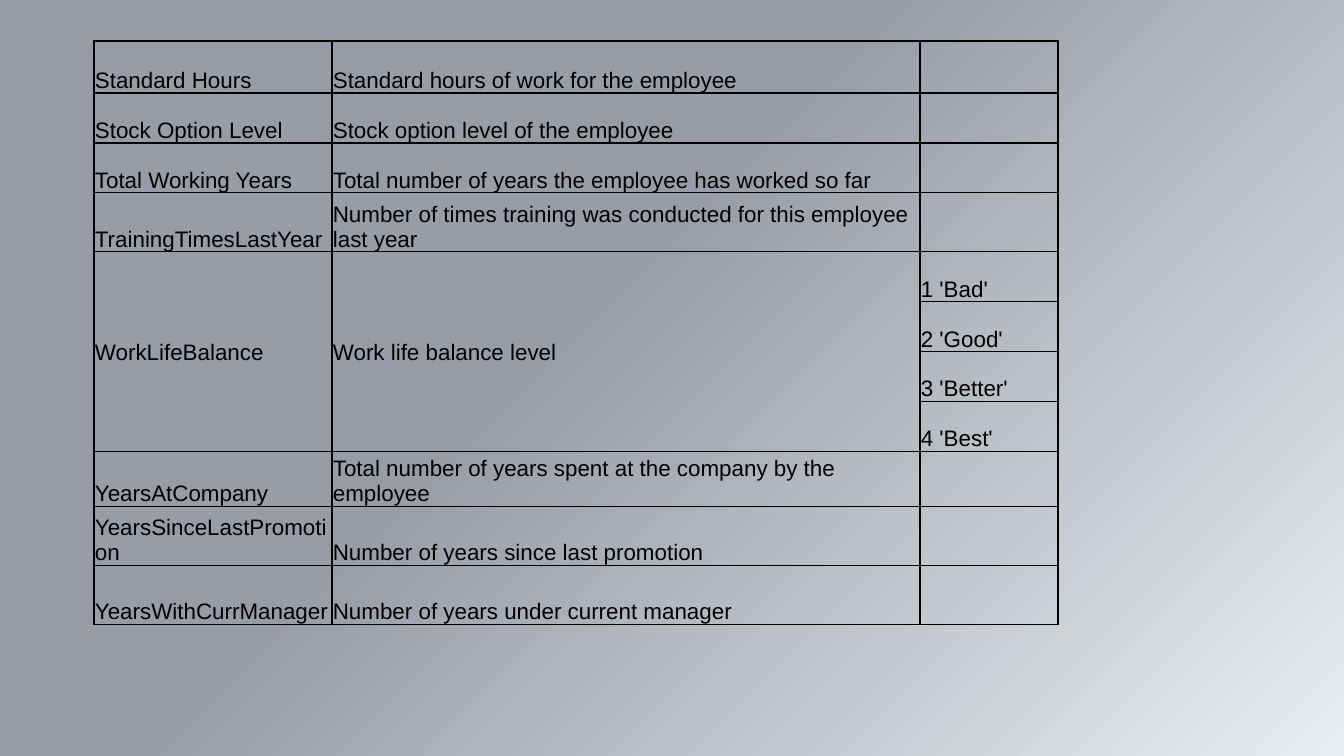
from lxml import etree
from pptx import Presentation
from pptx.dml.color import RGBColor
from pptx.enum.text import MSO_ANCHOR
from pptx.oxml import parse_xml
from pptx.oxml.ns import nsdecls, qn
from pptx.util import Pt

BOTTOM, MIDDLE = MSO_ANCHOR.BOTTOM, MSO_ANCHOR.MIDDLE
BLANK_LAYOUT = 6

COLUMNS = [238, 588, 138]
ROW_HEIGHTS = [52, 50, 50, 59, 50, 50, 50, 50, 55, 59, 59]
BALANCE_ROW, BALANCE_SPAN = 4, 4
FIELDS = [
    ("Standard Hours", "Standard hours of work for the employee", ""),
    ("Stock Option Level", "Stock option level of the employee", ""),
    ("Total Working Years", "Total number of years the employee has worked so far", ""),
    ("TrainingTimesLastYear",
     "Number of times training was conducted for this employee last year", ""),
    ("WorkLifeBalance", "Work life balance level", "1 'Bad'"),
    ("", "", "2 'Good'"),
    ("", "", "3 'Better'"),
    ("", "", "4 'Best'"),
    ("YearsAtCompany", "Total number of years spent at the company by the employee", ""),
    ("YearsSinceLastPromotion", "Number of years since last promotion", ""),
    ("YearsWithCurrManager", "Number of years under current manager", ""),
]


def px(n):
    """Pixels at 134.4 to the inch, as EMU."""
    return round(n * 914400 / 134.4)


def rgb(hex_string):
    return RGBColor.from_string(hex_string)


class Deck:
    font, size, ink = "Arial", 12, "000000"
    border = 0.75

    def __init__(self, prs):
        self.s = prs.slides.add_slide(prs.slide_layouts[BLANK_LAYOUT])

    def corner_gradient(self, stops):
        """Fill the background with a gradient centred on the lower right corner."""
        gs = "".join(f'<a:gs pos="{pos * 1000}"><a:srgbClr val="{color}"/></a:gs>'
                     for pos, color in stops)
        bg = parse_xml(
            f'<p:bg {nsdecls("p", "a")}><p:bgPr><a:gradFill rotWithShape="1">'
            f'<a:gsLst>{gs}</a:gsLst><a:path path="circle">'
            '<a:fillToRect l="100000" t="100000"/></a:path>'
            '</a:gradFill><a:effectLst/></p:bgPr></p:bg>')
        self.s.element.cSld.insert(0, bg)

    def borders(self, cell):
        tc_pr = cell._tc.get_or_add_tcPr()
        for side in ("lnL", "lnR", "lnT", "lnB"):
            ln = etree.SubElement(tc_pr, qn(f"a:{side}"), w=str(Pt(self.border)))
            fill = etree.SubElement(ln, qn("a:solidFill"))
            etree.SubElement(fill, qn("a:srgbClr"), val=self.ink)

    def cell(self, cell, text, anchor):
        cell.margin_left = cell.margin_right = cell.margin_top = px(1)
        cell.margin_bottom = 0
        cell.vertical_anchor = anchor
        self.borders(cell)
        cell.fill.background()
        if text:
            cell.text_frame.text = text
            font = cell.text_frame.paragraphs[0].runs[0].font
            font.name, font.size = self.font, Pt(self.size)
            font.color.rgb = rgb(self.ink)

    def table(self, x, y, columns, heights, rows, merged_row, span):
        """Draw a table whose first two columns merge from merged_row over span rows."""
        table = self.s.shapes.add_table(len(rows), len(columns), px(x), px(y),
                                        px(sum(columns)), px(sum(heights))).table
        table.first_row = table.horz_banding = False
        for column, width in zip(table.columns, columns):
            column.width = px(width)
        for i, (height, texts) in enumerate(zip(heights, rows)):
            table.rows[i].height = px(height)
            for j, text in enumerate(texts):
                anchor = MIDDLE if i == merged_row and j < 2 else BOTTOM
                self.cell(table.cell(i, j), text, anchor)
        for j in range(2):
            table.cell(merged_row, j).merge(table.cell(merged_row + span - 1, j))


def main():
    prs = Presentation()
    prs.slide_width, prs.slide_height = px(1344), px(756)
    deck = Deck(prs)
    deck.corner_gradient([(0, "EAEEF0"), (58, "989CA7"), (100, "989CA7")])
    deck.table(94, 41, COLUMNS, ROW_HEIGHTS, FIELDS, BALANCE_ROW, BALANCE_SPAN)
    prs.save("out.pptx")


if __name__ == "__main__":
    main()
